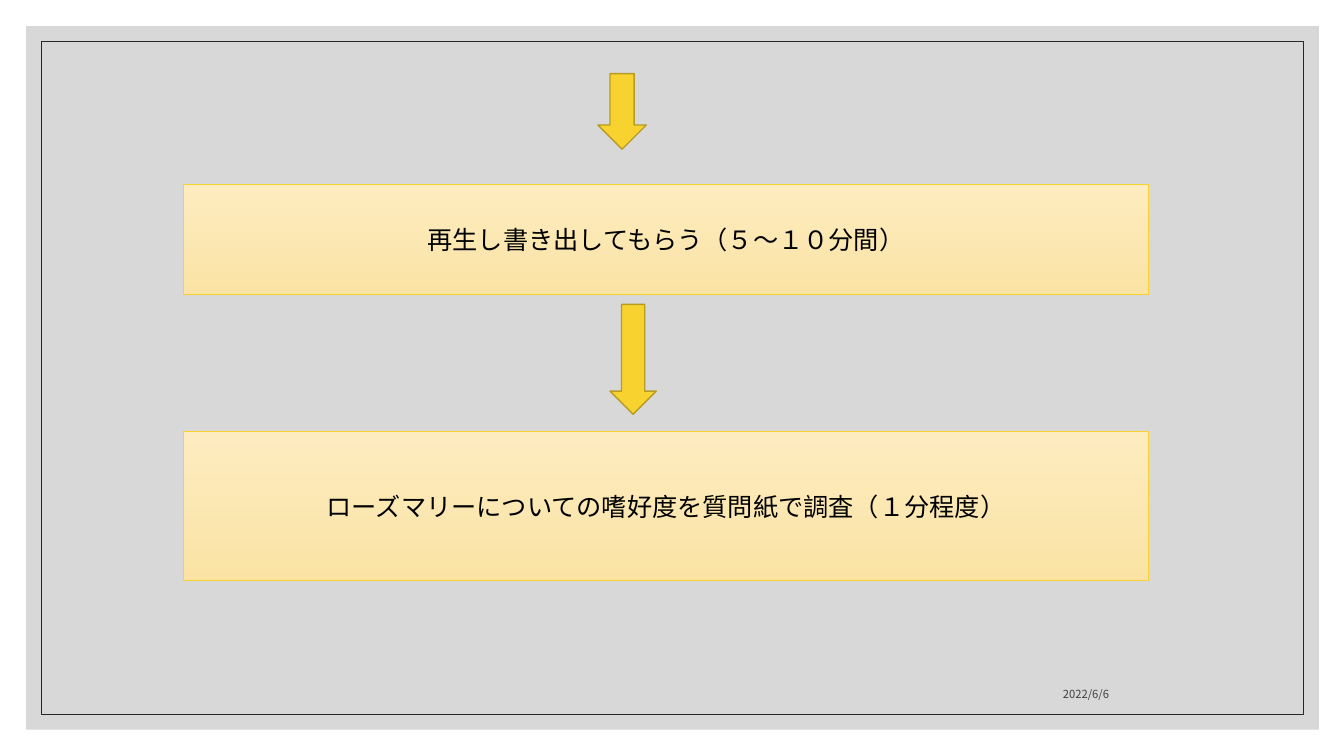
from lxml import etree
from pptx import Presentation
from pptx import util as u
from pptx.dml.color import RGBColor
from pptx.enum import shapes, text
from pptx.oxml.ns import qn

THEME = {
    "panel": "BFBFBF", "frame": "262626", "date": "404040", "ink": "000000",
    "arrow": "F8D22F", "edge": "B79B23", "top": "FDECC0", "base": "FAE3A4",
    "latin": "TeX Gyre Adventor", "asian": "Noto Sans CJK JP",
    "step_size": 18, "date_size": 8,
}
KIND = shapes.MSO_SHAPE
ALIGN = text.PP_ALIGN
ANCHOR = text.MSO_ANCHOR


def draw(kind, area, fill=None, line=None, width=1):
    shape = slide.shapes.add_shape(kind, *map(u.Inches, area))
    shape.shadow.inherit = False
    if fill:
        shape.fill.solid()
        shape.fill.fore_color.rgb = RGBColor.from_string(THEME[fill])
    else:
        shape.fill.background()
    if line:
        shape.line.color.rgb = RGBColor.from_string(THEME[line])
        shape.line.width = u.Pt(width)
    else:
        shape.line.fill.background()
    return shape


def write(shape, words, align, anchor, font, size, ink):
    frame = shape.text_frame
    frame.word_wrap = True
    frame.vertical_anchor = anchor
    para = frame.paragraphs[0]
    para.alignment = align
    run = para.add_run()
    run.text = words
    style = {"name": THEME[font], "size": u.Pt(THEME[size])}
    for key, value in style.items():
        setattr(run.font, key, value)
    run.font.color.rgb = RGBColor.from_string(THEME[ink])
    etree.SubElement(run.font._element, qn("a:ea"), typeface=THEME["asian"])


deck = Presentation()
deck.slide_width, deck.slide_height = u.Inches(13.33), u.Inches(7.5)
slide = deck.slides.add_slide(deck.slide_layouts[6])

# Translucent panel and thin frame
panel = draw(KIND.RECTANGLE, (0.26, 0.26, 12.82, 6.98), "panel")
color = panel._element.spPr.find(qn("a:solidFill"))[0]
etree.SubElement(color, qn("a:alpha"), val="60000")
draw(KIND.RECTANGLE, (0.41, 0.41, 12.52, 6.68), line="frame", width=0.5)

# Date
date = slide.shapes.add_textbox(*map(u.Inches, (7.94, 6.6, 3.16, 0.4)))
write(date, "2022/6/6", ALIGN.RIGHT, ANCHOR.BOTTOM, "asian", "date_size", "date")

# Steps, each led in by an arrow
steps = [
    ((5.93, 0.73, 0.48, 0.75), 1.83, 1.09,
     "再生し書き出してもらう（５～１０分間）"),
    ((6.05, 3.02, 0.46, 1.09), 4.28, 1.48,
     "ローズマリーについての嗜好度を質問紙で調査（１分程度）"),
]
for arrow, top, height, words in steps:
    draw(KIND.DOWN_ARROW, arrow, "arrow", "edge")
    box = draw(KIND.RECTANGLE, (1.82, top, 9.57, height), line="arrow", width=0.5)
    box.fill.gradient()
    box.fill.gradient_angle = 270
    for stop, tint in zip(box.fill.gradient_stops, ("top", "base")):
        stop.color.rgb = RGBColor.from_string(THEME[tint])
    write(box, words, ALIGN.CENTER, ANCHOR.MIDDLE, "latin", "step_size", "ink")

deck.save("out.pptx")
